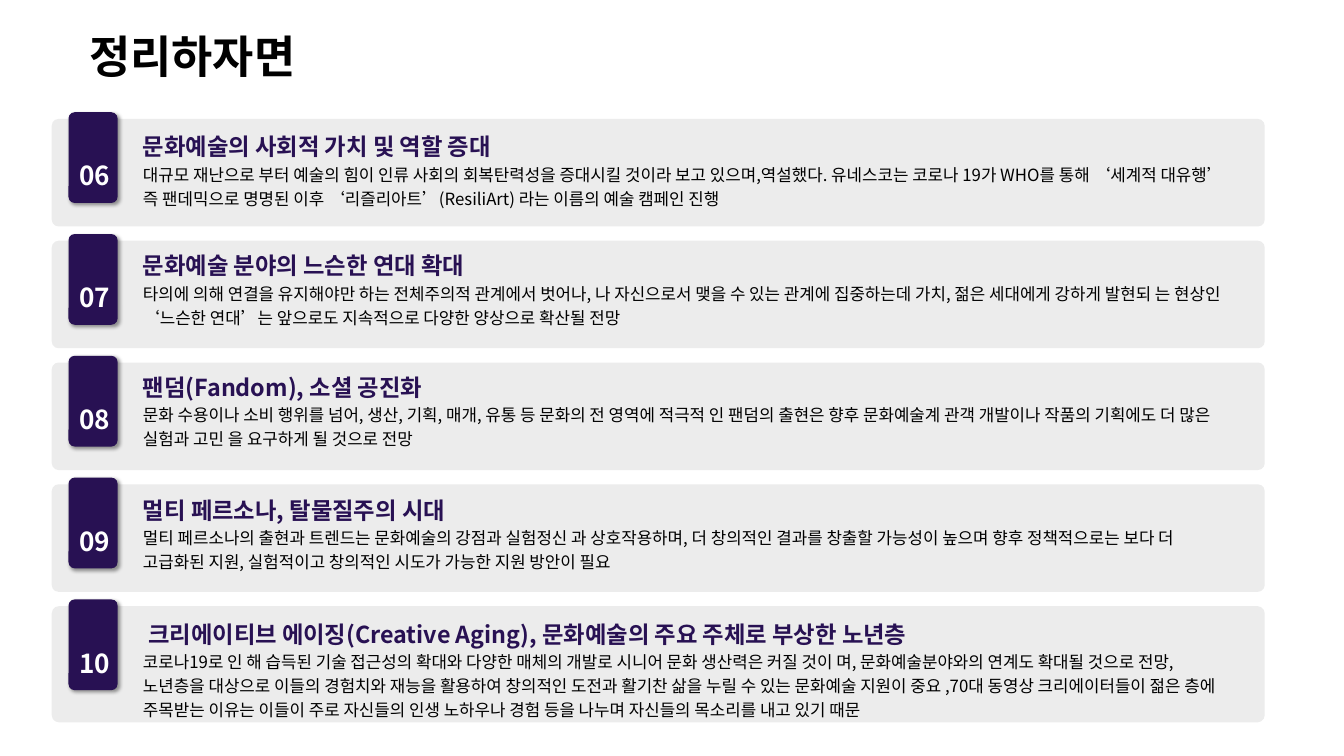
"""Build a summary slide with five numbered cards on culture and the arts."""
from lxml.etree import SubElement
from pptx import Presentation
from pptx.dml.color import RGBColor
from pptx.enum.shapes import MSO_SHAPE
from pptx.enum.text import MSO_AUTO_SIZE, PP_ALIGN
from pptx.oxml import parse_xml
from pptx.oxml.ns import nsdecls, qn
from pptx.util import Inches, Pt

TITLE = "정리하자면"
CARDS = [
    {
        "number": "06",
        "heading": "문화예술의 사회적 가치 및 역할 증대",
        "body": "대규모 재난으로 부터 예술의 힘이 인류 사회의 회복탄력성을 증대시킬 것이라 보고 있으며,역설했다. "
                "유네스코는 코로나 19가 WHO를 통해 ‘세계적 대유행’ 즉 팬데믹으로 명명된 이후 "
                "‘리즐리아트’(ResiliArt) 라는 이름의 예술 캠페인 진행",
        "height": 1.6, "text_offset": 0.07, "text_height": 1.3,
    },
    {
        "number": "07",
        "heading": "문화예술 분야의 느슨한 연대 확대",
        "body": "타의에 의해 연결을 유지해야만 하는 전체주의적 관계에서 벗어나, 나 자신으로서 맺을 수 있는 관계에 "
                "집중하는데 가치, 젊은 세대에게 강하게 발현되 는 현상인 ‘느슨한 연대’는 앞으로도 지속적으로 "
                "다양한 양상으로 확산될 전망",
        "height": 1.6, "text_offset": 0.03, "text_height": 1.31,
    },
    {
        "number": "08",
        "heading": "팬덤(Fandom), 소셜 공진화",
        "body": "문화 수용이나 소비 행위를 넘어, 생산, 기획, 매개, 유통 등 문화의 전 영역에 적극적 인 팬덤의 출현은 "
                "향후 문화예술계 관객 개발이나 작품의 기획에도 더 많은 실험과 고민 을 요구하게 될 것으로 전망",
        "height": 1.6, "text_offset": 0.02, "text_height": 1.31,
    },
    {
        "number": "09",
        "heading": "멀티 페르소나, 탈물질주의 시대",
        "body": "멀티 페르소나의 출현과 트렌드는 문화예술의 강점과 실험정신 과 상호작용하며, 더 창의적인 결과를 "
                "창출할 가능성이 높으며 향후 정책적으로는 보다 더 고급화된 지원, 실험적이고 창의적인 시도가 "
                "가능한 지원 방안이 필요",
        "height": 1.6, "text_offset": 0.04, "text_height": 1.31,
    },
    {
        "number": "10",
        "heading": " 크리에이티브 에이징(Creative Aging), 문화예술의 주요 주체로 부상한 노년층",
        "body": "코로나19로 인 해 습득된 기술 접근성의 확대와 다양한 매체의 개발로 시니어 문화 생산력은 커질 것이 며, "
                "문화예술분야와의 연계도 확대될 것으로 전망, 노년층을 대상으로 이들의 경험치와 재능을 활용하여 "
                "창의적인 도전과 활기찬 삶을 누릴 수 있는 문화예술 지원이 중요 ,70대 동영상 크리에이터들이 젊은 층에 "
                "주목받는 이유는 이들이 주로 자신들의 인생 노하우나 경험 등을 나누며 자신들의 목소리를 내고 있기 때문",
        "height": 1.73, "text_offset": 0.07, "text_height": 1.67,
    },
]

FONT = "Noto Sans CJK KR"
BLACK, WHITE, PURPLE, GRAY = "000000", "FFFFFF", "281153", "ECECEC"
TITLE_FORMAT = {"size": Pt(48), "bold": True}
NUMBER_FORMAT = {"size": Pt(28), "bold": True}
HEADING_FORMAT = {"size": Pt(25), "bold": True}
BODY_FORMAT = {"size": Pt(18), "bold": False}

FIRST_TOP, LAST_TOP = 1.77, 9.02
PITCH = (LAST_TOP - FIRST_TOP) / (len(CARDS) - 1)


def color(value):
    return RGBColor.from_string(value)


def add_text(shapes, place, lines, **paragraph_format):
    box = shapes.add_textbox(*map(Inches, place))
    frame = box.text_frame
    frame.word_wrap = True
    frame.auto_size = MSO_AUTO_SIZE.SHAPE_TO_FIT_TEXT
    for index, (text, hue, font_format) in enumerate(lines):
        para = frame.add_paragraph() if index else frame.paragraphs[0]
        for name, value in paragraph_format.items():
            setattr(para, name, value)
        span = para.add_run()
        span.text = text
        for name, value in {"name": FONT, **font_format}.items():
            setattr(span.font, name, value)
        span.font.color.rgb = color(hue)
        SubElement(span.font._element, qn("a:ea"), typeface=FONT)


def add_panel(shapes, place, hue, corner):
    panel = shapes.add_shape(MSO_SHAPE.ROUNDED_RECTANGLE, *map(Inches, place))
    panel.adjustments[0] = corner
    panel.shadow.inherit = False
    panel.fill.solid()
    panel.fill.fore_color.rgb = color(hue)
    panel.line.fill.background()
    return panel


def add_shadow(panel):
    effects = panel._element.spPr.find(qn("a:effectLst"))
    effects.append(parse_xml(
        f'<a:outerShdw {nsdecls("a")} blurRad="{Pt(4)}" dist="{Pt(3)}" dir="2700000" '
        f'algn="tl" rotWithShape="0"><a:srgbClr val="{BLACK}"><a:alpha val="40000"/>'
        '</a:srgbClr></a:outerShdw>'))


def add_card(page, top, card):
    shapes = page.shapes.add_group_shape().shapes
    add_panel(shapes, (0.77, top, 18.05, card["height"]), GRAY, 0.063)
    add_shadow(add_panel(shapes, (1.02, top - 0.1, 0.73, 1.35), PURPLE, 0.125))
    add_text(shapes, (1.06, top + 0.56, 0.7, 0.57),
             [(card["number"], WHITE, NUMBER_FORMAT)], alignment=PP_ALIGN.CENTER)
    add_text(shapes, (2.03, top + card["text_offset"], 16.47, card["text_height"]),
             [(card["heading"], PURPLE, HEADING_FORMAT), (card["body"], BLACK, BODY_FORMAT)],
             line_spacing=1.2)


def main():
    deck = Presentation()
    deck.slide_width, deck.slide_height = Inches(20), Inches(11.25)
    page = deck.slides.add_slide(deck.slide_layouts[6])
    add_text(page.shapes, (1.23, 0.38, 8.6, 0.91), [(TITLE, BLACK, TITLE_FORMAT)])
    for row, card in enumerate(CARDS):
        add_card(page, FIRST_TOP + row * PITCH, card)
    deck.save("out.pptx")


if __name__ == "__main__":
    main()
